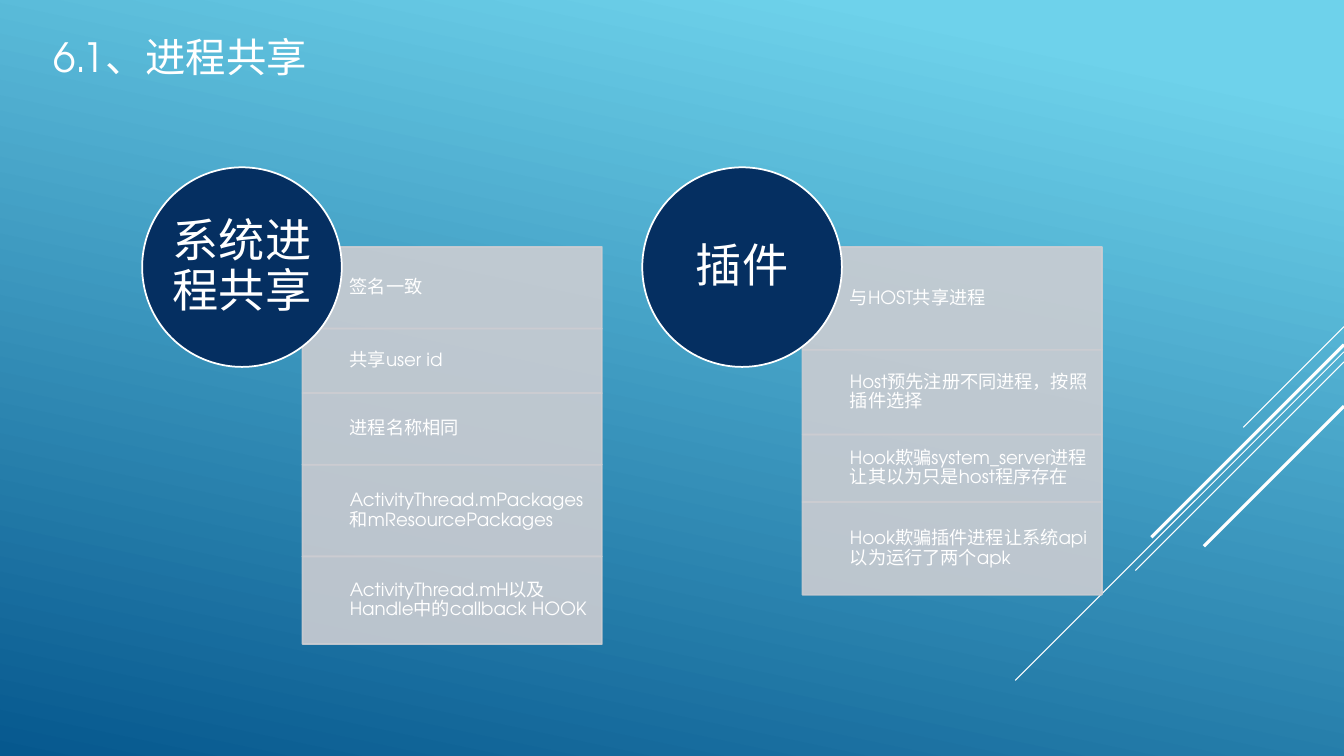
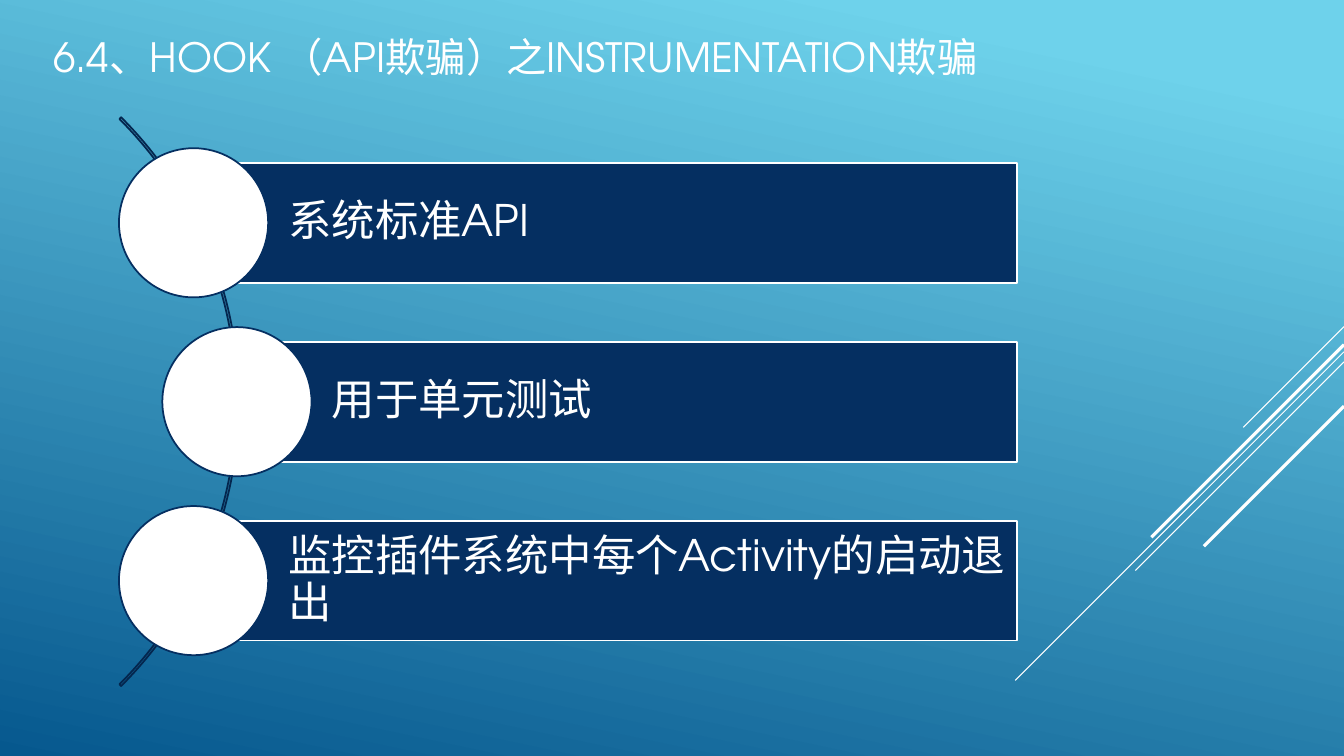
from itertools import accumulate

from lxml.etree import SubElement
from pptx import Presentation
from pptx.dml.color import RGBColor
from pptx.enum.shapes import MSO_CONNECTOR as CONN, MSO_SHAPE as SHAPE
from pptx.enum.text import MSO_ANCHOR as ANCHOR, MSO_AUTO_SIZE as AUTO, PP_ALIGN as ALIGN
from pptx.oxml.ns import qn
from pptx.util import Inches, Pt

WIDTH, HEIGHT = 13.33, 7.5
FONT = "TeX Gyre Adventor"
WHITE, NAVY, DARK, GREY = "FFFFFF", "052F61", "04264E", "CCCDD2"
SKY, SEA = "6ED2EB", "06588E"
RAYS = [(3.24, 1, 0.75), (3.49, 3.26, 0.75), (3.59, 2.07, 0.75),
        (3.42, 1.91, 2.25), (4.03, 1.39, 2.25)]


def rgb(value):
    return RGBColor.from_string(value)


def set_attrs(obj, values):
    for name, value in values.items():
        setattr(obj, name, value)


def set_alpha(color_parent, percent):
    color = color_parent.find(".//" + qn("a:srgbClr"))
    SubElement(color, qn("a:alpha"), val=str(percent * 1000))


def write(tf, text, size, align=ALIGN.LEFT, insets=(0.1, 0.05, 0.1, 0.05), spacing=0.9):
    left, top, right, bottom = map(Inches, insets)
    set_attrs(tf, dict(word_wrap=True, auto_size=AUTO.NONE, vertical_anchor=ANCHOR.MIDDLE,
                       margin_left=left, margin_top=top,
                       margin_right=right, margin_bottom=bottom))
    p = tf.paragraphs[0]
    set_attrs(p, dict(alignment=align, line_spacing=spacing))
    r = p.add_run()
    r.text = text
    set_attrs(r.font, dict(name=FONT, size=Pt(size)))
    r.font.color.rgb = rgb(WHITE)


def add_shape(s, kind, x, y, w, h, fill, line, alpha=None):
    sp = s.shapes.add_shape(kind, Inches(x), Inches(y), Inches(w), Inches(h))
    sp.shadow.inherit = False
    if fill:
        sp.fill.solid()
        sp.fill.fore_color.rgb = rgb(fill)
    else:
        sp.fill.background()
    sp.line.color.rgb = rgb(line)
    sp.line.width = Pt(1.25)
    if alpha:
        props = sp._element.spPr
        set_alpha(props.find(qn("a:solidFill")), alpha)
        set_alpha(props.find(qn("a:ln")), alpha)
    return sp


def style_master(master, s):
    fill = master.background.fill
    fill.gradient()
    fill.gradient_angle = 258
    for stop, position, color in zip(fill.gradient_stops, (0.1, 1), (SKY, SEA)):
        stop.position = position
        stop.color.rgb = rgb(color)
    for y, run, weight in RAYS:
        ray = s.shapes.add_connector(CONN.STRAIGHT, Inches(WIDTH), Inches(y),
                                     Inches(WIDTH - run), Inches(y + run))
        ray.line.color.rgb = rgb(WHITE)
        ray.line.width = Pt(weight)
        SubElement(ray._element.spPr, qn("a:effectLst"))
        master.shapes._spTree.append(ray._element)


def add_slide(prs, title):
    s = prs.slides.add_slide(prs.slide_layouts[5])
    sp = s.shapes.title
    set_attrs(sp, dict(left=Inches(0.43), top=Inches(0.25),
                       width=Inches(11), height=Inches(0.61)))
    write(sp.text_frame, title, 28.8, spacing=1)
    return s


def add_topic(s, x, y, heading, rows):
    card_x, card_y, card_w, disc = x + 1.59, y + 0.79, 2.97, 1.98
    heights = [h for h, _ in rows]
    for (h, text), offset in zip(rows, accumulate(heights, initial=0)):
        row = add_shape(s, SHAPE.RECTANGLE, card_x, card_y + offset, card_w, h,
                        GREY, GREY, alpha=90)
        write(row.text_frame, text, 13, insets=(0.47, 0.1, 0.1, 0.1))
    circle = add_shape(s, SHAPE.OVAL, x, y, disc, disc, NAVY, WHITE)
    write(circle.text_frame, heading, 33, ALIGN.CENTER, (0, 0, 0, 0))


def add_arc_list(s, x, y, w, h, items):
    disc, bar_h, arc = 1.48, 1.19, 7.98
    step = (h - disc) / (len(items) - 1)
    curve = add_shape(s, SHAPE.BLOCK_ARC, x + 1.19 - arc, y + (h - arc) / 2, arc, arc,
                      None, DARK)
    for i, value in enumerate((189, 27, 0.003)):
        curve.adjustments[i] = value
    for i, (indent, text) in enumerate(items):
        left, top = x + indent, y + i * step
        bar_x = left + disc / 2
        bar = add_shape(s, SHAPE.RECTANGLE, bar_x, top + (disc - bar_h) / 2,
                        x + w - bar_x, bar_h, NAVY, WHITE)
        write(bar.text_frame, text, 31, insets=(0.94, 0.09, 0.09, 0.09))
        add_shape(s, SHAPE.OVAL, left, top, disc, disc, WHITE, NAVY)


def main():
    prs = Presentation()
    prs.slide_width, prs.slide_height = Inches(WIDTH), Inches(HEIGHT)

    s = add_slide(prs, "6.1、进程共享")
    style_master(prs.slide_master, s)
    add_topic(s, 1.41, 1.66, "系统进程共享", [
        (0.81, "签名一致"),
        (0.64, "共享user id"),
        (0.71, "进程名称相同"),
        (0.91, "ActivityThread.mPackages和mResourcePackages"),
        (0.87, "ActivityThread.mH以及Handle中的callback HOOK"),
    ])
    add_topic(s, 6.37, 1.66, "插件", [
        (1.02, "与HOST共享进程"),
        (0.84, "Host预先注册不同进程，按照插件选择"),
        (0.67, "Hook欺骗system_server进程让其以为只是host程序存在"),
        (0.92, "Hook欺骗插件进程让系统api以为运行了两个apk"),
    ])

    s = add_slide(prs, "6.4、HOOK （API欺骗）之INSTRUMENTATION欺骗")
    add_arc_list(s, 1.18, 1.47, 8.91, 5.03, [
        (0, "系统标准API"),
        (0.43, "用于单元测试"),
        (0, "监控插件系统中每个Activity的启动退出"),
    ])
    prs.save("out.pptx")


if __name__ == "__main__":
    main()
